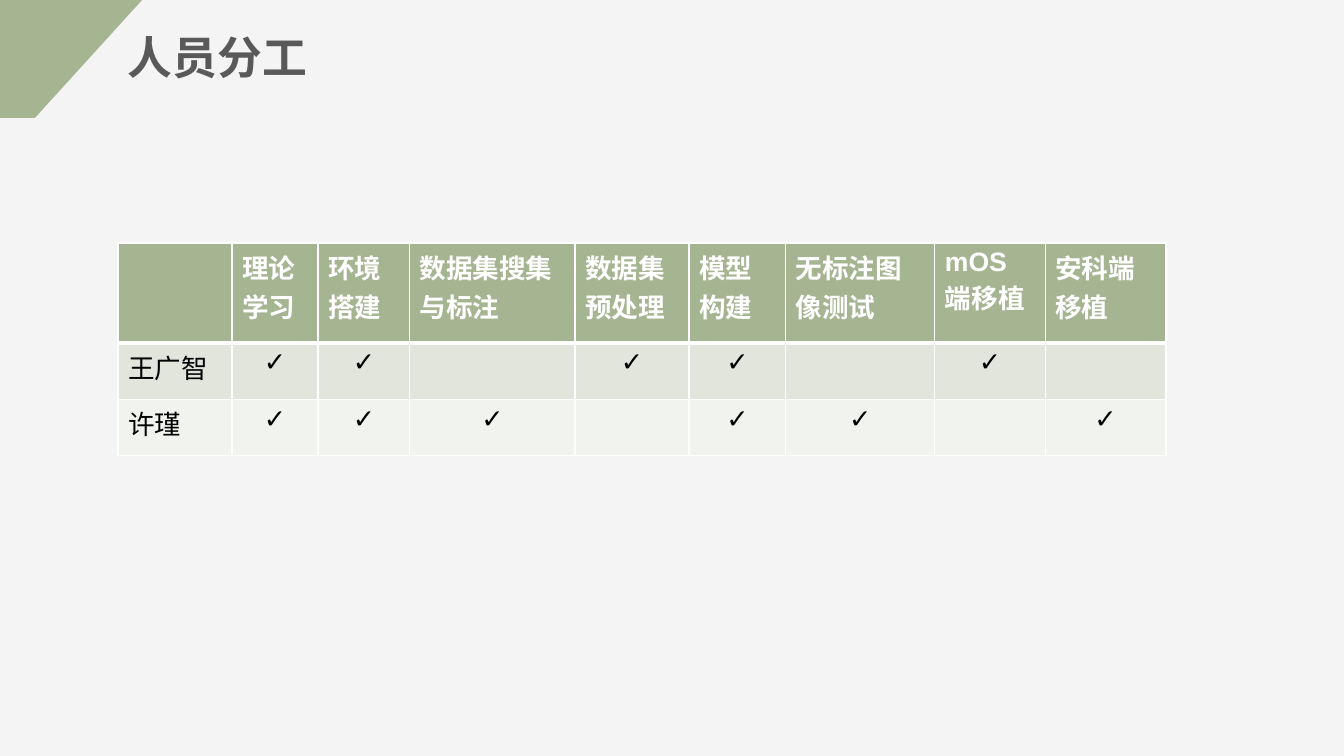
from lxml import etree
from pptx import Presentation
from pptx.dml.color import RGBColor
from pptx.enum.text import MSO_AUTO_SIZE, PP_ALIGN
from pptx.oxml.ns import qn
from pptx.util import Inches, Pt

LEFT, CENTER = PP_ALIGN.LEFT, PP_ALIGN.CENTER
FIT_SHAPE = MSO_AUTO_SIZE.SHAPE_TO_FIT_TEXT
COLORS = {
    "page": "F4F4F4", "green": "A5B592", "title": "595959",
    "white": "FFFFFF", "black": "000000",
    "odd_row": "E1E5DC", "even_row": "F0F3EE",
}
CHECK = "✓"
TASKS = ["理论学习", "环境搭建", "数据集搜集与标注", "数据集预处理",
         "模型构建", "无标注图像测试", "mOS端移植", "安科端移植"]
# Each member's tasks, as positions in TASKS
MEMBERS = {"王广智": {0, 1, 3, 4, 6}, "许瑾": {0, 1, 2, 4, 5, 7}}


class SlideBuilder:
    """Places elements on a grid of 100 columns by 100 rows."""
    font = "Arial"

    def __init__(self, deck):
        self.column = deck.slide_width / 100
        self.row = deck.slide_height / 100
        self.page = deck.slides.add_slide(deck.slide_layouts[6])

    def x(self, columns):
        return round(columns * self.column)

    def y(self, rows):
        return round(rows * self.row)

    def paint(self, fill, color):
        fill.solid()
        fill.fore_color.rgb = RGBColor.from_string(COLORS[color])

    def background(self, color):
        self.paint(self.page.background.fill, color)

    def polygon(self, points, color):
        corners = [(self.x(col), self.y(row)) for col, row in points]
        outline = self.page.shapes.build_freeform(*corners[0])
        outline.add_line_segments(corners[1:], close=True)
        shape = outline.convert_to_shape()
        shape.shadow.inherit = False
        shape.line.fill.background()
        self.paint(shape.fill, color)

    def add_text(self, frame, text, size, color, bold=False, align=LEFT):
        para = frame.paragraphs[0]
        para.alignment = align
        span = para.add_run()
        span.text = text
        span.font.name = self.font
        span.font.size = Pt(size)
        span.font.bold = bold
        span.font.color.rgb = RGBColor.from_string(COLORS[color])

    def heading(self, left, top, width, height, text):
        box = self.page.shapes.add_textbox(
            self.x(left), self.y(top), self.x(width), self.y(height))
        box.text_frame.word_wrap = False
        box.text_frame.auto_size = FIT_SHAPE
        self.add_text(box.text_frame, text, 32, "title", bold=True)

    def borders(self, cell, top, bottom):
        properties = cell._tc.get_or_add_tcPr()
        for side, points in (("L", 1), ("R", 1), ("T", top), ("B", bottom)):
            line = etree.SubElement(properties, qn(f"a:ln{side}"), w=str(Pt(points)))
            fill = etree.SubElement(line, qn("a:solidFill"))
            etree.SubElement(fill, qn("a:srgbClr"), val=COLORS["white"])

    def table(self, left, top, widths, heights, rows):
        table = self.page.shapes.add_table(
            len(rows), len(widths), self.x(left), self.y(top),
            self.x(sum(widths)), self.y(sum(heights))).table
        for column, width in zip(table.columns, widths):
            column.width = self.x(width)
        for row, height in zip(table.rows, heights):
            row.height = self.y(height)
        for r, texts in enumerate(rows):
            header = r == 0
            fill = "green" if header else "odd_row" if r % 2 else "even_row"
            for c, text in enumerate(texts):
                cell = table.cell(r, c)
                self.borders(cell, 3 if r == 1 else 1, 3 if header else 1)
                self.paint(cell.fill, fill)
                if text:
                    self.add_text(cell.text_frame, text, 19,
                                  "white" if header else "black", bold=header,
                                  align=CENTER if text == CHECK else LEFT)


def main():
    deck = Presentation()
    deck.slide_width, deck.slide_height = Inches(13.33), Inches(7.5)
    slide = SlideBuilder(deck)

    # Background and corner
    slide.background("page")
    slide.polygon([(0, 0), (10.58, 0), (2.6, 15.6), (0, 15.6)], "green")

    # Title
    slide.heading(8.78, 3.33, 15, 8.53, "人员分工")

    # Who does what
    rows = [[""] + TASKS]
    for name, done in MEMBERS.items():
        rows.append([name] + [CHECK if i in done else "" for i in range(len(TASKS))])
    widths = [8.48, 6.4, 6.83, 12.3, 8.48, 7.2, 11.1, 8.2, 9]
    slide.table(8.78, 32.13, widths, [13.2, 7.47, 7.47], rows)

    deck.save("out.pptx")


if __name__ == "__main__":
    main()
